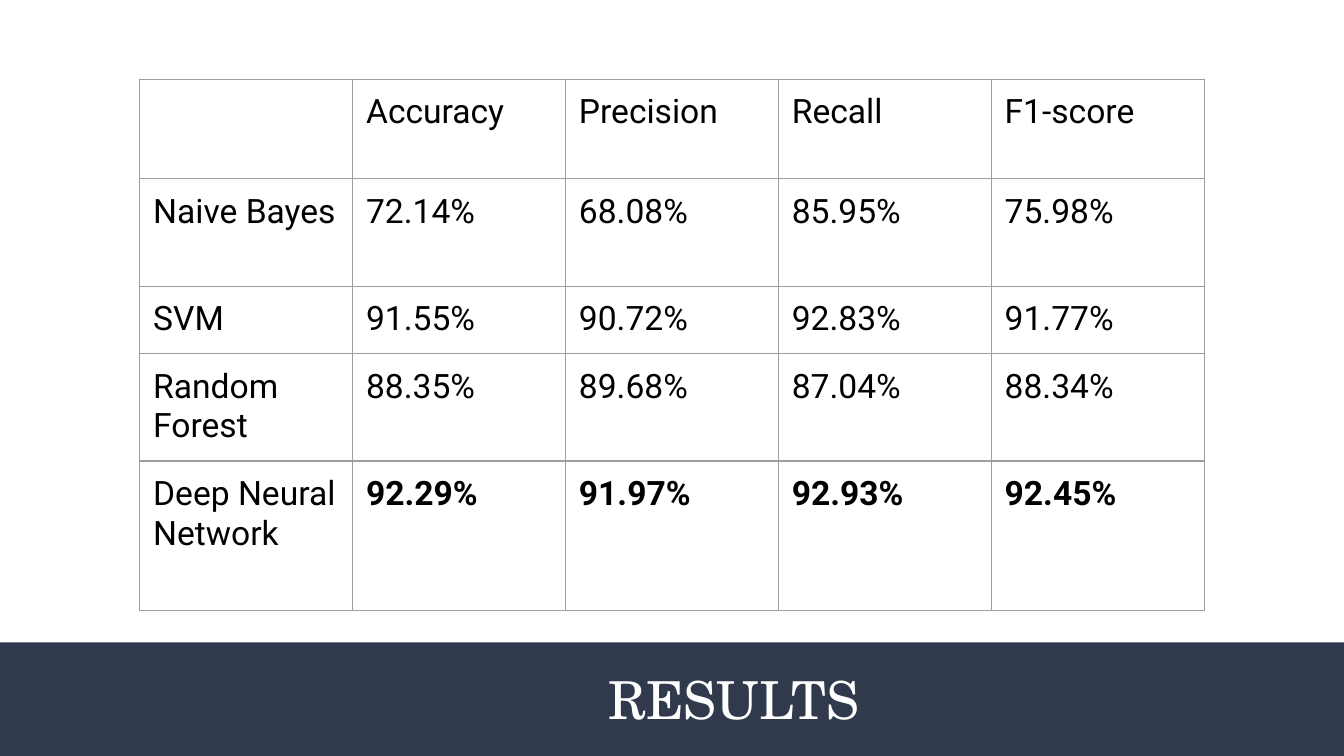
from dataclasses import dataclass

import pptx
import pptx.dml.color
import pptx.enum.shapes
import pptx.enum.text
import pptx.oxml
import pptx.oxml.ns
import pptx.util
from pptx.util import Inches

SLIDE_WIDTH = Inches(10)
SLIDE_HEIGHT = SLIDE_WIDTH * 9 // 16
NAVY, WHITE, BLACK, GREY = "31394D", "FFFFFF", "000000", "9E9E9E"
PADDING = Inches(0.1)
HEADINGS = ("", "Accuracy", "Precision", "Recall", "F1-score")
TABLE_WIDTH = Inches(7.92)
COLUMN_WIDTH = TABLE_WIDTH // len(HEADINGS)
HEADING_HEIGHT = 0.74


@dataclass(frozen=True)
class ModelResult:
    name: str
    scores: tuple[str, ...]
    height: float
    best: bool = False


RESULTS = (
    ModelResult("Naive Bayes", ("72.14%", "68.08%", "85.95%", "75.98%"), 0.8),
    ModelResult("SVM", ("91.55%", "90.72%", "92.83%", "91.77%"), 0.48),
    ModelResult("Random Forest", ("88.35%", "89.68%", "87.04%", "88.34%"), 0.8),
    ModelResult("Deep Neural Network", ("92.29%", "91.97%", "92.93%", "92.45%"), 1.11, best=True),
)


def color(value: str) -> pptx.dml.color.RGBColor:
    return pptx.dml.color.RGBColor.from_string(value)


def apply_format(target, values: dict) -> None:
    for name, value in values.items():
        setattr(target, name, value)


def pad(target) -> None:
    """Give a cell or text frame the same inset on all four sides."""
    apply_format(target, {f"margin_{side}": PADDING for side in ("left", "top", "right", "bottom")})


def write(paragraph, text: str, font: str, size: float, hex_color: str, bold: bool = False) -> None:
    run = paragraph.add_run()
    run.text = text
    apply_format(run.font, {"name": font, "size": pptx.util.Pt(size), "bold": bold})
    run.font.color.rgb = color(hex_color)


def add_borders(cell) -> None:
    properties = cell._tc.get_or_add_tcPr()
    for position, side in enumerate("LRTB"):
        line = pptx.oxml.parse_xml(
            f'<a:ln{side} {pptx.oxml.ns.nsdecls("a")} w="{pptx.util.Pt(0.75)}">'
            f'<a:solidFill><a:srgbClr val="{GREY}"/></a:solidFill></a:ln{side}>'
        )
        properties.insert(position, line)


def fill_cell(cell, text: str, bold: bool) -> None:
    pad(cell)
    cell.fill.background()
    add_borders(cell)
    if text:
        write(cell.text_frame.paragraphs[0], text, "Roboto", 18, BLACK, bold)


def add_results_table(slide) -> None:
    heights = [HEADING_HEIGHT, *(result.height for result in RESULTS)]
    table = slide.shapes.add_table(
        len(heights), len(HEADINGS), Inches(1.04), Inches(0.59), TABLE_WIDTH, Inches(sum(heights))
    ).table
    apply_format(table, {"first_row": False, "horz_banding": False})
    for column in table.columns:
        column.width = COLUMN_WIDTH
    for row, height in zip(table.rows, heights):
        row.height = Inches(height)

    for cell, heading in zip(table.rows[0].cells, HEADINGS):
        fill_cell(cell, heading, bold=False)
    for row, result in zip(list(table.rows)[1:], RESULTS):
        for index, (cell, text) in enumerate(zip(row.cells, (result.name, *result.scores))):
            fill_cell(cell, text, bold=result.best and index > 0)


def add_title_band(slide) -> None:
    top = Inches(4.78)
    band = slide.shapes.add_shape(
        pptx.enum.shapes.MSO_SHAPE.RECTANGLE, 0, top, SLIDE_WIDTH, SLIDE_HEIGHT - top
    )
    band.shadow.inherit = False
    band.fill.solid()
    band.fill.fore_color.rgb = color(NAVY)
    band.line.fill.background()

    title = slide.shapes.add_textbox(Inches(0.34), Inches(4.95), Inches(8.73), Inches(0.5))
    frame = title.text_frame
    pad(frame)
    apply_format(frame, {"word_wrap": True, "vertical_anchor": pptx.enum.text.MSO_ANCHOR.MIDDLE})
    paragraph = frame.paragraphs[0]
    paragraph._p.get_or_add_pPr().set("marL", str(Inches(4.09)))
    write(paragraph, "RESULTS", "TeX Gyre Schola", 28, WHITE)


def main() -> None:
    presentation = pptx.Presentation()
    apply_format(presentation, {"slide_width": SLIDE_WIDTH, "slide_height": SLIDE_HEIGHT})
    slide = presentation.slides.add_slide(presentation.slide_layouts[6])
    add_title_band(slide)
    add_results_table(slide)
    presentation.save("out.pptx")


if __name__ == "__main__":
    main()
